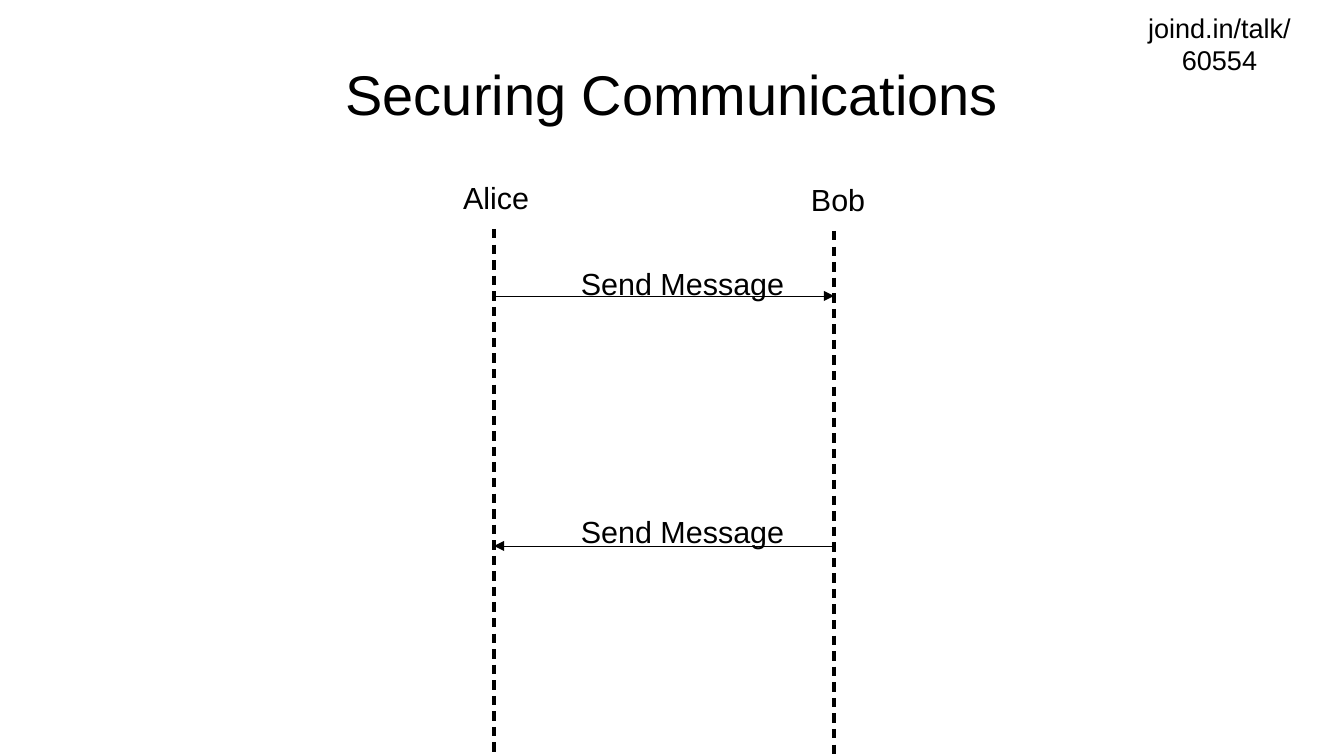
from lxml import etree
from pptx import Presentation
from pptx import util as u
from pptx.dml.color import RGBColor
from pptx.enum import shapes, text
from pptx.oxml import ns

BLACK = RGBColor(0, 0, 0)
WHITE = RGBColor(255, 255, 255)
FONT = "Arial"
EMU_PER_PX = 914400 / 122

ALICE_X, BOB_X = 494, 834


def px(n):
    return u.Emu(round(n * EMU_PER_PX))


def write(sp, words, size=18, align=text.PP_ALIGN.CENTER, color=BLACK):
    p = sp.text_frame.paragraphs[0]
    p.alignment = align
    r = p.add_run()
    r.text = words
    r.font.name, r.font.size = FONT, u.Pt(size)
    r.font.color.rgb = color


def sub(parent, tag, **attrs):
    return etree.SubElement(parent, ns.qn(tag), attrs)


class Diagram:
    def __init__(self, prs):
        self.s = prs.slides.add_slide(prs.slide_layouts[5])
        self.s.background.fill.solid()
        self.s.background.fill.fore_color.rgb = WHITE

    def title(self, words, x, y, w, h):
        sp = self.s.shapes.title
        sp.left, sp.top, sp.width, sp.height = map(px, (x, y, w, h))
        tf = sp.text_frame
        tf.margin_left = tf.margin_right = tf.margin_top = tf.margin_bottom = 0
        tf.vertical_anchor = text.MSO_ANCHOR.MIDDLE
        write(sp, words, size=33)

    def label(self, words, x, y, w, h=54, wrap=False, **style):
        sp = self.s.shapes.add_textbox(*map(px, (x, y, w, h)))
        tf = sp.text_frame
        tf.word_wrap = wrap
        tf.auto_size = text.MSO_AUTO_SIZE.SHAPE_TO_FIT_TEXT
        write(sp, words, **style)

    def line(self, x1, y1, x2, y2, width):
        """Add a line free of theme style, so width 0 is a hairline; return its a:ln."""
        c = self.s.shapes.add_connector(
            shapes.MSO_CONNECTOR.STRAIGHT, *map(px, (x1, y1, x2, y2)))
        c._element.remove(c._element.find(ns.qn("p:style")))
        c.line.color.rgb = BLACK
        ln = c.line._get_or_add_ln()
        ln.set("w", str(int(u.Pt(width))))
        sub(c._element.spPr, "a:effectLst")
        return ln

    def lifeline(self, x, top, bottom):
        dash = sub(self.line(x, top, x, bottom, 2.83), "a:custDash")
        sub(dash, "a:ds", d="197000", sp="127000")

    def message(self, x1, x2, y):
        sub(self.line(x1, y, x2, y, 0), "a:tailEnd", type="triangle")


def main():
    prs = Presentation()
    prs.slide_width, prs.slide_height = px(1344), px(756)
    d = Diagram(prs)
    d.label("joind.in/talk/60554", 1104, 5, 231, 85, wrap=True, size=16)
    d.title("Securing Communications", 67, 30, 1210, 127)

    for name, x, label_x, label_y, label_w in (
            ("Alice", ALICE_X, 451, 173, 92), ("Bob", BOB_X, 799, 175, 81)):
        d.lifeline(x, label_y + 56, label_y + 580)
        d.label(name, label_x, label_y, label_w, align=text.PP_ALIGN.LEFT)

    for start, end, y, label_y in (
            (ALICE_X, BOB_X, 296, 259), (BOB_X, ALICE_X, 546, 507)):
        d.message(start, end, y)
        d.label("Send Message", 567, label_y, 231)

    prs.save("out.pptx")


if __name__ == "__main__":
    main()
